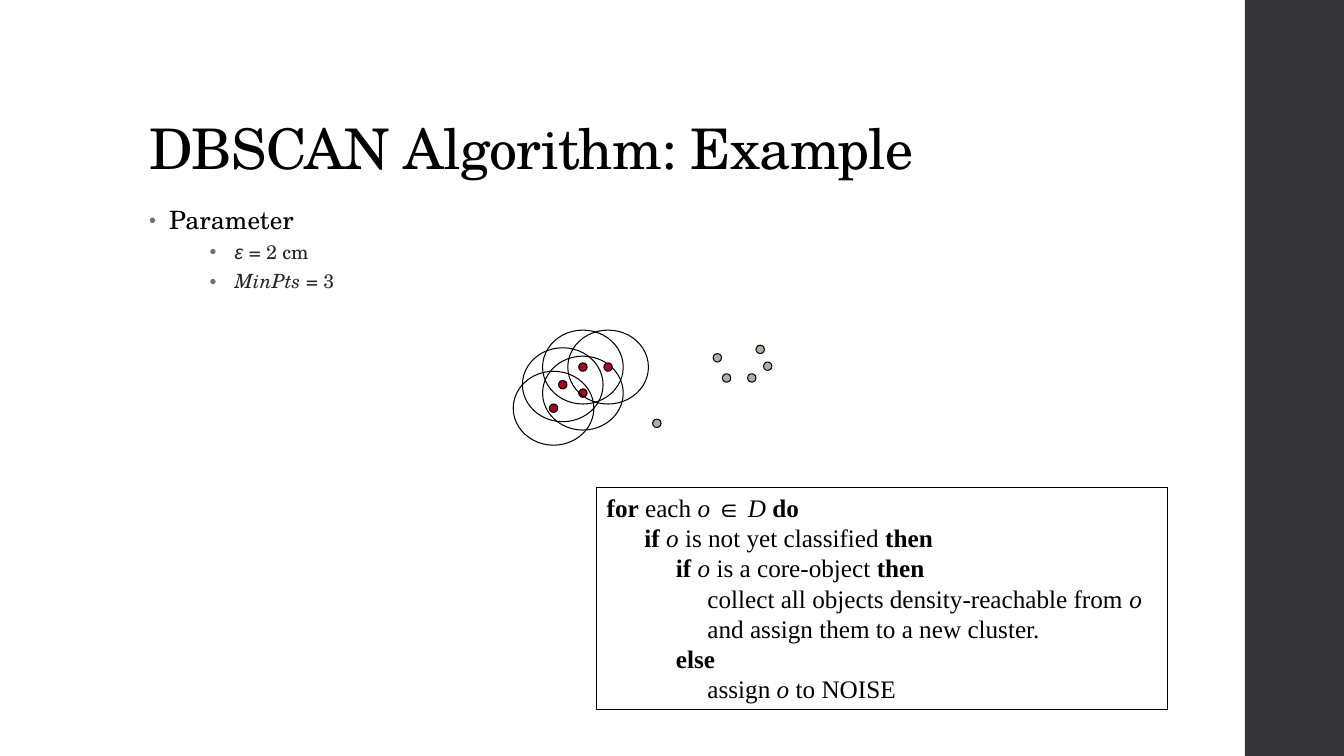
from lxml.etree import SubElement
from pptx import Presentation
from pptx.dml.color import RGBColor
from pptx.enum.shapes import MSO_SHAPE as SHAPE
from pptx.enum.text import MSO_ANCHOR as ANCHOR, MSO_AUTO_SIZE as AUTO, PP_ALIGN as ALIGN
from pptx.oxml.ns import qn
from pptx.util import Inches, Pt

WIDTH, HEIGHT = 13.333, 7.5
CELL = WIDTH / 160
SERIF, SANS, TIMES = "TeX Gyre Schola", "Arial", "Times New Roman"
BLACK, DARK, GREY = "000000", "262626", "6F6F74"

CORE_POINTS = [(5.9, 10.6), (7, 7.8), (9.4, 5.7), (9.4, 8.8), (12.4, 5.7)]
OTHER_POINTS = [(26.5, 7), (25.4, 4.6), (29.5, 7), (31.4, 5.6), (30.5, 3.6), (18.2, 12.4)]
PARAMETERS = [[("ε", SANS, True), (" = 2 cm", SERIF, False)],
              [("MinPts", SERIF, True), (" = 3", SERIF, False)]]
CODE = [
    (0, [("for", "b"), (" each ", ""), ("o ", "i"), ("∈", "s"), (" D ", "i"), ("do", "b")]),
    (6, [("if ", "b"), ("o", "i"), (" is not yet classified ", ""), ("then", "b")]),
    (11, [("if ", "b"), ("o", "i"), (" is a core-object ", ""), ("then", "b")]),
    (16, [("collect all objects density-reachable from ", ""), ("o", "i")]),
    (16, [("and assign them to a new cluster.", "")]),
    (11, [("else", "b")]),
    (16, [("assign ", ""), ("o", "i"), (" to NOISE", "")]),
]


def color(value):
    """Turn a hex string into a colour."""
    return RGBColor.from_string(value)


def grid(*cells):
    """Turn numbers of grid cells into lengths."""
    return [Inches(n * CELL) for n in cells]


def add_run(p, text, font=SERIF, size=18, fill=BLACK, bold=False, italic=False, spacing=0):
    """Add a formatted run to a paragraph."""
    r = p.add_run()
    r.text = text
    f = r.font
    f.name, f.size, f.bold, f.italic = font, Pt(size), bold, italic
    f.color.rgb = color(fill)
    if spacing:
        r._r.get_or_add_rPr().set("spc", str(round(spacing * 100)))


def add_shape(slide, kind, box, fill=None, line=None):
    """Add a flat shape with an optional fill and outline."""
    sp = slide.shapes.add_shape(kind, *grid(*box))
    sp.shadow.inherit = False
    if fill:
        sp.fill.solid()
        sp.fill.fore_color.rgb = color(fill)
    else:
        sp.fill.background()
    if line:
        sp.line.color.rgb = color(line)
        sp.line.width = Pt(0.75)
    else:
        sp.line.fill.background()
    return sp


def add_frame(slide, box):
    """Add a wrapping text box and return its text frame."""
    tf = slide.shapes.add_textbox(*grid(*box)).text_frame
    tf.word_wrap = True
    return tf


def next_paragraph(tf):
    """Return the unused first paragraph or a new one."""
    first = tf.paragraphs[0]
    return tf.add_paragraph() if first.runs else first


def set_bullet(p, indent, hang, size=100):
    """Give a paragraph a hanging round bullet."""
    pPr = p._p.get_or_add_pPr()
    pPr.set("marL", str(Inches(indent)))
    pPr.set("indent", str(Inches(-hang)))
    SubElement(SubElement(pPr, qn("a:buClr")), qn("a:srgbClr")).set("val", GREY)
    SubElement(pPr, qn("a:buSzPct")).set("val", str(size * 1000))
    SubElement(pPr, qn("a:buFont")).set("typeface", SANS)
    SubElement(pPr, qn("a:buChar")).set("char", "•")


def add_title(slide, box):
    """Place the title at the bottom of its box."""
    tf = add_frame(slide, box)
    tf.vertical_anchor = ANCHOR.BOTTOM
    p = tf.paragraphs[0]
    p.line_spacing = 0.9
    add_run(p, "DBSCAN Algorithm: Example", size=40, spacing=-0.5)


def add_parameters(slide, box):
    """Place the bulleted parameter list."""
    tf = add_frame(slide, box)
    p = next_paragraph(tf)
    p.line_spacing, p.space_before, p.space_after = 0.95, Pt(14), Pt(2)
    set_bullet(p, 0.2, 0.2, 80)
    add_run(p, "Parameter", spacing=0.1)
    for parts in PARAMETERS:
        p = next_paragraph(tf)
        p.level = 2
        p.line_spacing, p.space_before, p.space_after = 0.9, Pt(3), Pt(3)
        set_bullet(p, 0.85, 0.25)
        for text, font, italic in parts:
            add_run(p, text, font=font, size=14, fill=DARK, italic=italic)


def add_scatter(slide, box):
    """Place the data points, with a neighbourhood around each core point."""
    left, top = box[:2]

    def ellipse(x, y, w, h, fill=None):
        """Centre an ellipse on a point of the box."""
        add_shape(slide, SHAPE.OVAL, (left + x - w / 2, top + y - h / 2, w, h), fill, BLACK)

    for x, y in OTHER_POINTS:
        ellipse(x, y, 1, 1, "ABAFA5")
    for x, y in CORE_POINTS:
        ellipse(x, y, 9.6, 8.8)
        ellipse(x, y, 1, 1, "A50021")


def add_code(slide, box):
    """Place the framed pseudocode, indented by character widths."""
    tf = add_shape(slide, SHAPE.RECTANGLE, box, line=BLACK).text_frame
    tf.word_wrap = True
    tf.auto_size = AUTO.SHAPE_TO_FIT_TEXT
    tf.vertical_anchor = ANCHOR.TOP
    for indent, parts in CODE:
        p = next_paragraph(tf)
        p.alignment = ALIGN.LEFT
        p._p.get_or_add_pPr().set("marL", str(Pt(4.5 * indent)))
        for text, style in parts:
            add_run(p, text, font=SANS if style == "s" else TIMES,
                    bold=style == "b", italic=style == "i")


def main():
    """Build the slide and save it."""
    prs = Presentation()
    prs.slide_width, prs.slide_height = Inches(WIDTH), Inches(HEIGHT)
    slide = prs.slides.add_slide(prs.slide_layouts[6])
    add_shape(slide, SHAPE.RECTANGLE, (148.2, 0, 11.8, 90), "353537")
    add_title(slide, (16.56, 4.8, 127.2, 17.4))
    add_parameters(slide, (16.56, 24, 112.8, 57.1))
    add_scatter(slide, (60, 38, 33, 16))
    add_code(slide, (71.04, 58, 68, 26.5))
    prs.save("out.pptx")


if __name__ == "__main__":
    main()
